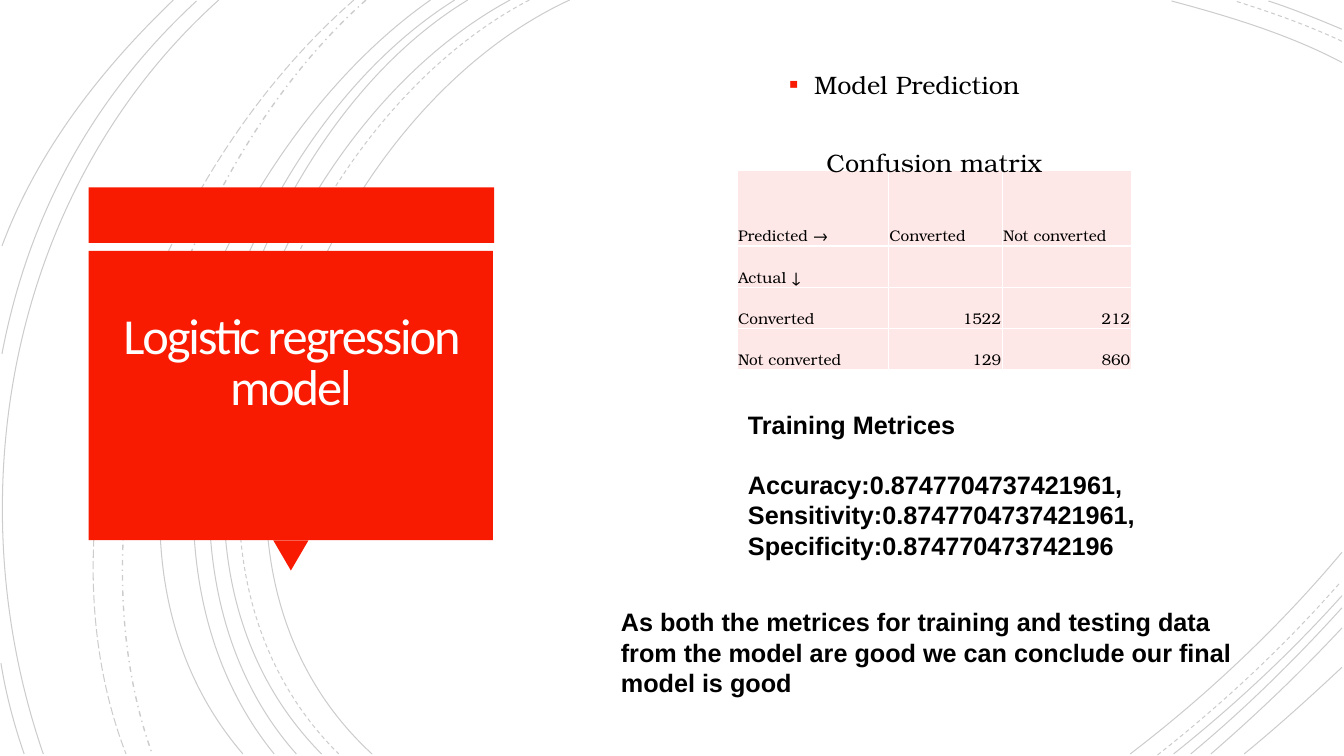
"""Build the slide on the logistic regression model and its confusion matrix."""
import lxml.etree
import pptx
import pptx.dml.color
import pptx.enum.dml
import pptx.enum.shapes
import pptx.enum.text
import pptx.oxml.ns
import pptx.util

Inches = pptx.util.Inches
Pt = pptx.util.Pt
qn = pptx.oxml.ns.qn
RGB = pptx.dml.color.RGBColor.from_string
Align = pptx.enum.text.PP_ALIGN
Anchor = pptx.enum.text.MSO_ANCHOR
Dash = pptx.enum.dml.MSO_LINE
Shape = pptx.enum.shapes.MSO_SHAPE


class Theme:
    red, pink, white, black = "F81B02", "FEE8E7", "FFFFFF", "000000"
    cream = "FFFEFF"
    head, serif, sans = "Calibri", "TeX Gyre Bonum", "Arial"
    big, body, small = Pt(36), Pt(18), Pt(11)


def style(par, face, size, color=Theme.black, align=Align.LEFT, bold=False):
    par.alignment = align
    par.font.name, par.font.size, par.font.bold = face, size, bold
    par.font.color.rgb = RGB(color)


def label(at, lines, face, align=Align.LEFT, bold=False):
    frame = slide.shapes.add_textbox(*map(Inches, at)).text_frame
    frame.word_wrap = True
    frame.text = "\n".join(lines)
    for par in frame.paragraphs:
        style(par, face, Theme.body, align=align, bold=bold)
    return frame


deck = pptx.Presentation()
deck.slide_width, deck.slide_height = Inches(13.33), Inches(7.5)
slide = deck.slides.add_slide(deck.slide_layouts[5])

arcs = [
    (Dash.SOLID, 0.75, [
        (5.65, 0, 3.15, 1.15, 1.43, 5.4, 3.69, 7.48),
        (13.31, 0.62, 12.78, 0.34, 12.18, 0.16, 11.62, 0.01),
        (11.21, 7.48, 11.97, 6.9, 12.69, 6.22, 13.31, 5.48),
        (5.06, 0, 2.7, 1.27, 1.1, 5.37, 3.19, 7.48),
        (13.31, 0.29, 13.07, 0.19, 12.83, 0.09, 12.58, 0.01),
        (11.64, 7.48, 12.23, 7.01, 12.8, 6.48, 13.31, 5.91),
        (4.64, 0, 2.44, 1.33, 1.1, 5.41, 2.94, 7.48),
        (11.81, 7.48, 12.34, 7.04, 12.84, 6.55, 13.31, 6.03),
        (4.51, 0, 2.31, 1.38, 0.97, 5.33, 2.72, 7.48),
        (12.01, 7.48, 12.46, 7.09, 12.9, 6.67, 13.31, 6.23),
        (4.27, 0, 2.17, 1.47, 0.53, 5.29, 2.41, 7.48),
        (12.34, 7.48, 12.67, 7.21, 12.99, 6.92, 13.31, 6.62),
        (2.17, 0, 0.11, 1.85, -0.46, 4.9, 0.43, 7.48),
        (1.95, 0.01, 0.92, 0.96, 0.28, 2.14, 0.02, 3.51),
        (0.01, 6.58, 0.06, 6.89, 0.14, 7.19, 0.24, 7.48),
        (1.72, 0, 1, 0.69, 0.37, 1.5, 0.02, 2.44),
    ]),
    (Dash.DASH, 0.75, [
        (5.25, 0, 2.85, 1.25, 1.23, 5.37, 3.36, 7.48),
        (13.31, 0.41, 12.97, 0.25, 12.6, 0.12, 12.25, 0.01),
        (11.48, 7.49, 12.13, 6.98, 12.75, 6.4, 13.3, 5.77),
    ]),
    (Dash.DASH_DOT, 1, [(3.63, 0, 1.76, 1.66, 0.65, 5.09, 1.51, 7.48)]),
    (Dash.LONG_DASH, 0.75, [(3.51, 0, 1.57, 1.69, 0.29, 4.99, 1.25, 7.48)]),
]
for dash, width, curves in arcs:
    for curve in curves:
        spots = [Inches(value) for value in curve]
        points = list(zip(spots[::2], spots[1::2]))
        pen = slide.shapes.build_freeform(*points[0])
        pen.add_line_segments(points[1:], close=False)
        arc = pen.convert_to_shape()
        arc.shadow.inherit = False
        arc.fill.background()
        arc.line.color.rgb = RGB(Theme.black)
        arc.line.width, arc.line.dash_style = Pt(width), dash
        tint = arc.line._ln.find(".//" + qn("a:srgbClr"))
        lxml.etree.SubElement(tint, qn("a:alpha"), val="20000")
        steps = arc._element.xpath(".//a:lnTo")
        outline = steps[0].getparent()
        bend = lxml.etree.SubElement(outline, qn("a:cubicBezTo"))
        for step in steps:
            bend.append(step[0])
            outline.remove(step)

for kind, turn, at in [
    (Shape.RECTANGLE, 0, (0.88, 1.86, 4.02, 0.55)),
    (Shape.ISOSCELES_TRIANGLE, 180, (2.71, 5.36, 0.35, 0.3)),
    (Shape.RECTANGLE, 0, (0.88, 2.49, 4.01, 2.87)),
]:
    block = slide.shapes.add_shape(kind, *map(Inches, at))
    block.rotation = turn
    block.shadow.inherit = False
    block.fill.solid()
    block.fill.fore_color.rgb = RGB(Theme.red)
    block.line.fill.background()

title = slide.shapes.title
slide.shapes._spTree.append(title._element)
title.left, title.top, title.width, title.height = map(
    Inches, (0.97, 2.58, 3.83, 2.68))
frame = title.text_frame
frame.text = "Logistic regression model"
frame.word_wrap, frame.auto_size = True, pptx.enum.text.MSO_AUTO_SIZE.NONE
frame.vertical_anchor = Anchor.MIDDLE
frame.margin_left = frame.margin_right = frame.margin_top = Inches(0.25)
frame.margin_bottom = Inches(0.85)
par = frame.paragraphs[0]
par.line_spacing = 0.85
style(par, Theme.head, Theme.big, Theme.cream, Align.CENTER)
par.runs[0]._r.get_or_add_rPr().set("spc", "-150")

frame = label((5.29, 0.33, 7.51, 0.95), ["Model Prediction"],
              Theme.serif, Align.CENTER)
frame.vertical_anchor = Anchor.MIDDLE
par = frame.paragraphs[0]
par.line_spacing, par.space_after = 1.2, Pt(6)
props = par._p.get_or_add_pPr()
props.set("marL", "0")
props.set("indent", str(-Inches(0.25)))
last = props.find(qn("a:defRPr"))
for tag, attrs in [("a:buClr", {}), ("a:buSzPct", {"val": "110000"}),
                   ("a:buFont", {"typeface": Theme.sans}),
                   ("a:buChar", {"char": "▪"})]:
    node = lxml.etree.Element(qn(tag), attrs)
    last.addprevious(node)
    if tag == "a:buClr":
        lxml.etree.SubElement(node, qn("a:srgbClr"), val=Theme.red)

rows = [
    ("Predicted →", "Converted", "Not converted"),
    ("Actual ↓", "", ""),
    ("Converted", "1522", "212"),
    ("Not converted", "129", "860"),
]
table = slide.shapes.add_table(
    4, 3, *map(Inches, (7.31, 1.69, 3.91, 1.98))).table
table.first_row = table.horz_banding = False
for col, width in zip(table.columns, (1.5, 1.13, 1.28)):
    col.width = Inches(width)
for row, height, texts in zip(table.rows, (0.75, 0.41, 0.41, 0.41), rows):
    row.height = Inches(height)
    for cell, text in zip(row.cells, texts):
        cell.text = text
        cell.vertical_anchor = Anchor.BOTTOM
        cell.margin_left = cell.margin_right = cell.margin_top = Inches(0.01)
        cell.margin_bottom = 0
        style(cell.text_frame.paragraphs[0], Theme.serif, Theme.small,
              align=Align.RIGHT if text.isdigit() else Align.LEFT)
        props = cell._tc.get_or_add_tcPr()
        for side in ("a:lnL", "a:lnR", "a:lnT", "a:lnB"):
            edge = lxml.etree.SubElement(props, qn(side), w=str(Pt(1)))
            fill = lxml.etree.SubElement(edge, qn("a:solidFill"))
            lxml.etree.SubElement(fill, qn("a:srgbClr"), val=Theme.white)
        cell.fill.solid()
        cell.fill.fore_color.rgb = RGB(Theme.pink)

label((7.31, 1.41, 3.91, 0.4), ["Confusion matrix"],
      Theme.serif, Align.CENTER)
frame = label((7.32, 4.01, 4.22, 1.62), [
    "Training Metrices",
    "Accuracy:0.8747704737421961,",
    "Sensitivity:0.8747704737421961,",
    "Specificity:0.874770473742196",
], Theme.sans, bold=True)
frame.paragraphs[0].space_after = Pt(21.5)
label((6.06, 5.97, 6.6, 1.01), [
    "As both the metrices for training and testing data from the model "
    "are good we can conclude our final model is good",
], Theme.sans, bold=True)

deck.save("out.pptx")
